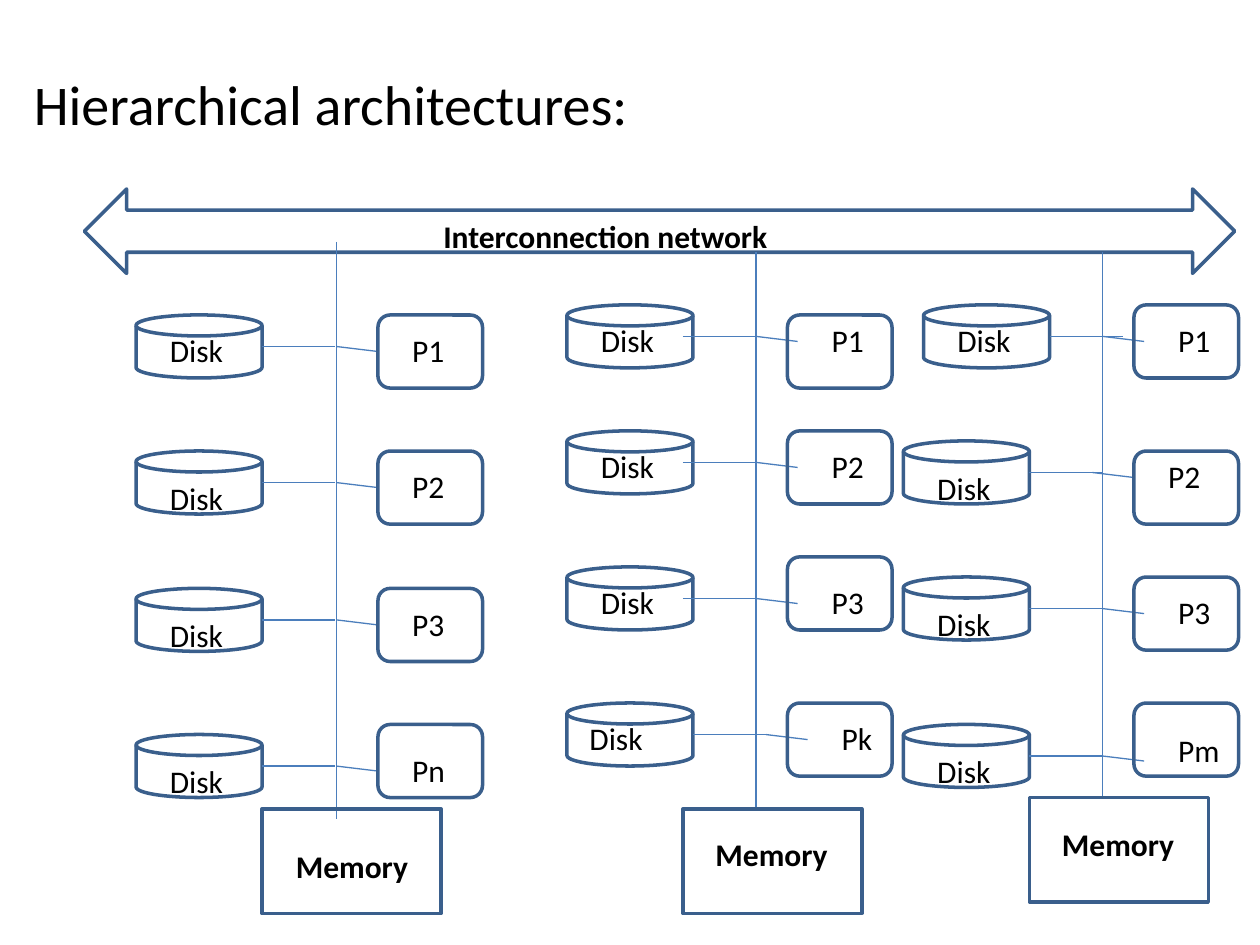
from pptx import Presentation
from pptx.dml.color import RGBColor
from pptx.enum.shapes import MSO_CONNECTOR, MSO_SHAPE
from pptx.oxml.ns import qn
from pptx.util import Inches, Pt
from lxml.etree import SubElement

EDGE, WIRE, INK = "3A5F8C", "4B7EBC", "000000"


def color(code):
    return RGBColor.from_string(code)


class Deck:
    """The style and the current slide."""
    font = {"name": "Calibri", "size": Pt(18), "bold": False}

    def __init__(self, slide):
        self.shapes = slide.shapes

    def shape(self, kind, *box):
        item = self.shapes.add_shape(kind, *map(Inches, box))
        item.shadow.inherit = False
        item.fill.background()
        item.line.color.rgb = color(EDGE)
        item.line.width = Pt(2)

    def text(self, words, *box, inset=0.1, before=0, **style):
        item = self.shapes.add_textbox(*map(Inches, box))
        frame = item.text_frame
        form = {"word_wrap": True, "margin_left": Inches(inset),
                "margin_right": 0}
        for key, value in form.items():
            setattr(frame, key, value)
        para = frame.paragraphs[0]
        para.space_before = Pt(before)
        run = para.add_run()
        run.text = words
        for key, value in {**self.font, **style}.items():
            setattr(run.font, key, value)
        run.font.color.rgb = color(INK)

    def line(self, *ends):
        item = self.shapes.add_connector(
            MSO_CONNECTOR.STRAIGHT, *map(Inches, ends))
        item.line.color.rgb = color(WIRE)
        item.line.width = Pt(0.75)
        SubElement(item._element.spPr, qn("a:effectLst"))


# Each cluster: bus (x, top, bottom), memory (x, y), memory label (x, y),
# node box x, and its rows.
# Each row: name, disk (x, y), disk label shift (x, y), wire start,
# joint, name shift, node box y.
GROUPS = [
    ((2.67, 1.92, 6.5), (2.08, 6.42), (2.25, 6.67), 3, [
        ("P1", 1.08, 2.5, 0.17, 0.08, 2.08, 2.67, 0.08, 2.5),
        ("P2", 1.08, 3.58, 0.17, 0.17, 2.08, 2.67, 0.08, 3.58),
        ("P3", 1.08, 4.67, 0.17, 0.17, 2.08, 2.67, 0.08, 4.67),
        ("Pn", 1.08, 5.83, 0.17, 0.17, 2.08, 2.67, 0.08, 5.75)]),
    ((6, 2, 6.42), (5.42, 6.42), (5.58, 6.58), 6.25, [
        ("P1", 4.5, 2.42, 0.17, 0.08, 5.42, 6, 0.08, 2.5),
        ("P2", 4.5, 3.42, 0.17, 0.08, 5.42, 6, 0.08, 3.42),
        ("P3", 4.5, 4.5, 0.17, 0.08, 5.42, 6, 0.08, 4.42),
        ("Pk", 4.5, 5.58, 0.08, 0.08, 5.5, 6.08, 0.08, 5.58)]),
    ((8.75, 2, 6.33), (8.17, 6.33), (8.33, 6.5), 9, [
        ("P1", 7.33, 2.42, 0.17, 0.08, 8.33, 8.75, 0.08, 2.42),
        ("P2", 7.17, 3.5, 0.17, 0.17, 8.17, 8.67, 0.08, 3.58),
        ("P3", 7.17, 4.58, 0.17, 0.17, 8.17, 8.75, 0.08, 4.58),
        ("Pm", 7.17, 5.75, 0.17, 0.17, 8.17, 8.75, 0, 5.58)]),
]


def main():
    show = Presentation()
    show.slide_width, show.slide_height = Inches(10), Inches(7.5)
    deck = Deck(show.slides.add_slide(show.slide_layouts[6]))

    # Title and network arrow
    deck.text("Hierarchical architectures:", 0.17, 0.5, 9.63, 0.7,
              before=6.4, size=Pt(32))
    deck.shape(MSO_SHAPE.LEFT_RIGHT_ARROW, 0.67, 1.5, 9.13, 0.67)
    deck.text("Interconnection network", 3.42, 1.67, 3.7, 0.4, bold=True)

    for bus, store, label, side, rows in GROUPS:
        # Bus and memory
        mid, top, end = bus
        deck.line(mid, top, mid, end)
        deck.shape(MSO_SHAPE.RECTANGLE, *store, 1.42, 0.83)
        deck.text("Memory", *label, 1.1, 0.4, bold=True)

        # Disks and nodes
        for name, x, y, dx, dy, start, joint, drop, high in rows:
            level = y + 0.25
            deck.shape(MSO_SHAPE.FLOWCHART_MAGNETIC_DISK, x, y, 1, 0.5)
            deck.text("Disk", x + dx, y + dy, 0.67, 0.4)
            deck.line(start, level, start + 0.58, level)
            deck.line(joint, level, joint + 0.33, level + 0.04)
            deck.text(name, joint + 0.33, y + drop, 0.71, 0.4, inset=0.27)
            deck.shape(MSO_SHAPE.ROUNDED_RECTANGLE, side, high, 0.83, 0.58)

    show.save("out.pptx")


if __name__ == "__main__":
    main()
